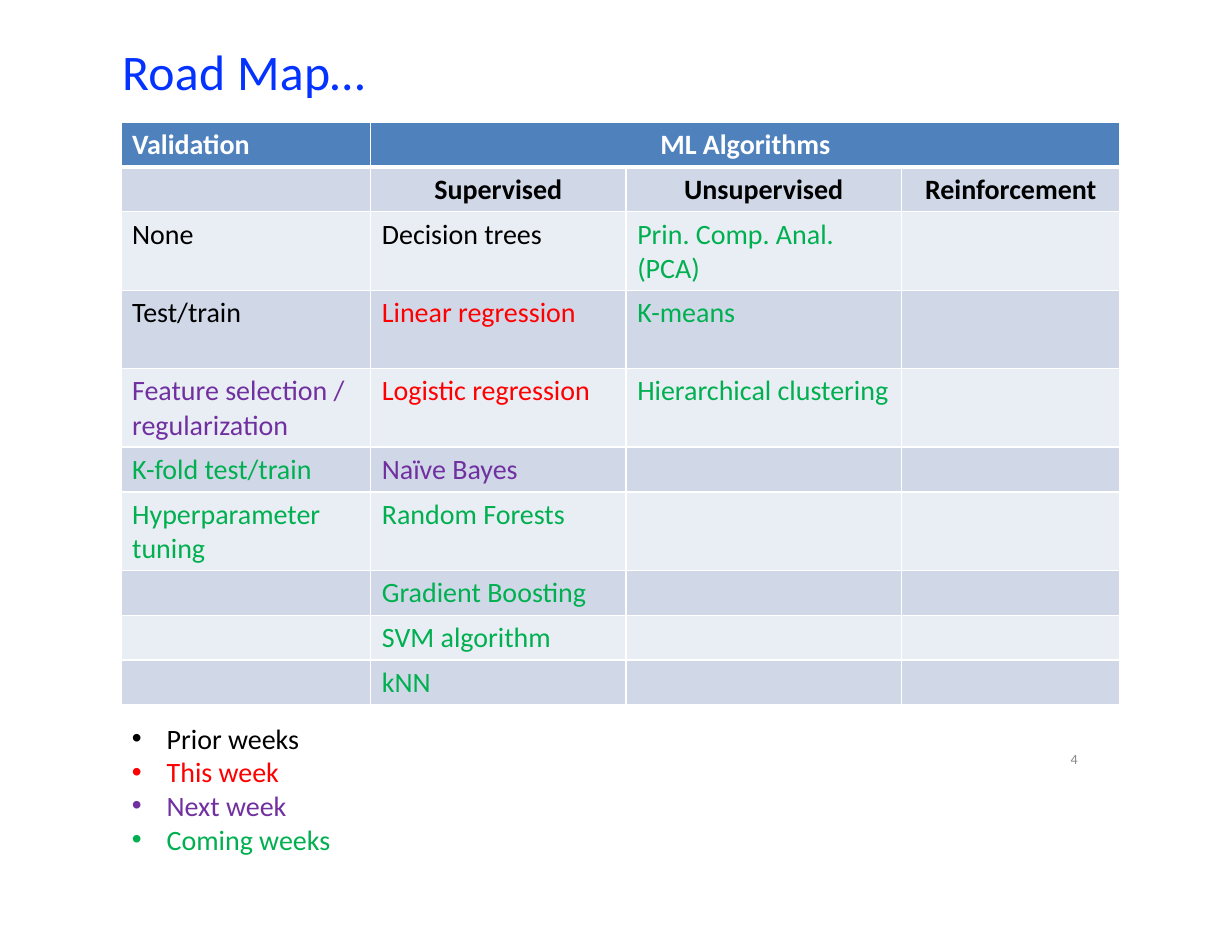
from dataclasses import dataclass
from typing import Optional

from lxml.etree import SubElement
from pptx import Presentation
from pptx.enum.text import MSO_ANCHOR as Anchor, PP_ALIGN as Align
from pptx.dml.color import RGBColor
from pptx.oxml import parse_xml
from pptx.oxml.ns import nsdecls, qn
from pptx.util import Inches, Pt

# The slide is a grid of 1100 columns by 850 rows.
COLUMNS, ROWS = 1100, 850
UNIT = Inches(11) // COLUMNS

FONT = "Calibri"
COLORS = {
    "title": "0432FF", "number": "898989", "white": "FFFFFF",
    "header": "4F81BD", "dark band": "D0D8E8", "light band": "E9EDF4",
    "prior": "000000", "this": "FF0000", "next": "7030A0", "coming": "00B050",
}
LEFT = 108
TABLE_TOP = 109
COLUMN_WIDTHS = (223, 228, 246, 195)
LINE_ROW, TALL_ROW = 40, 70
TALL_ROWS = {2, 3, 4, 6}


@dataclass(frozen=True)
class Box:
    column: int
    row: int
    columns: int
    rows: int

    def lengths(self) -> tuple:
        return tuple(UNIT * n for n in (self.column, self.row, self.columns, self.rows))


@dataclass(frozen=True)
class Entry:
    text: str
    color: str
    size: int = 18
    bold: bool = False
    align: Optional[Align] = None


def heading(text: str, color: str = "prior") -> Entry:
    return Entry(text, color, bold=True, align=Align.CENTER)


TABLE = (
    (Entry("Validation", "white", bold=True), heading("ML Algorithms", "white")),
    (None, heading("Supervised"), heading("Unsupervised"), heading("Reinforcement")),
    (Entry("None", "prior"), Entry("Decision trees", "prior"),
     Entry("Prin. Comp. Anal. (PCA)", "coming")),
    (Entry("Test/train", "prior"), Entry("Linear regression", "this"),
     Entry("K-means", "coming")),
    (Entry("Feature selection / regularization", "next"),
     Entry("Logistic regression", "this"), Entry("Hierarchical clustering", "coming")),
    (Entry("K-fold test/train", "coming"), Entry("Naïve Bayes", "next")),
    (Entry("Hyperparameter tuning", "coming"), Entry("Random Forests", "coming")),
    (None, Entry("Gradient Boosting", "coming")),
    (None, Entry("SVM algorithm", "coming")),
    (None, Entry("kNN", "coming")),
)
LEGEND = (
    Entry("Prior weeks", "prior"), Entry("This week", "this"),
    Entry("Next week", "next"), Entry("Coming weeks", "coming"),
)


def rgb(name: str) -> RGBColor:
    return RGBColor.from_string(COLORS[name])


def write(paragraph, entry: Entry):
    run = paragraph.add_run()
    run.text = entry.text
    formats = {"name": FONT, "size": Pt(entry.size), "bold": entry.bold}
    for attribute, value in formats.items():
        setattr(run.font, attribute, value)
    run.font.color.rgb = rgb(entry.color)
    paragraph.alignment = entry.align
    return run


def add_text(slide, box: Box, entries: tuple, **formats) -> list:
    """Add a text box with one paragraph per entry and return its runs."""
    frame = slide.shapes.add_textbox(*box.lengths()).text_frame
    for attribute, value in {"word_wrap": True, **formats}.items():
        setattr(frame, attribute, value)
    runs = []
    for index, entry in enumerate(entries):
        paragraph = frame.add_paragraph() if index else frame.paragraphs[0]
        runs.append(write(paragraph, entry))
    return runs


def add_bullets(slide, box: Box, entries: tuple) -> None:
    indent = UNIT * 31
    runs = add_text(slide, box, entries)
    for run in runs:
        properties = run._r.getparent().get_or_add_pPr()
        properties.set("marL", str(indent))
        properties.set("indent", str(-indent))
        SubElement(properties, qn("a:buFont")).set("typeface", "Arial")
        SubElement(properties, qn("a:buChar")).set("char", "•")


def set_borders(cell, bottom: int, top: int) -> None:
    """Put white lines around a cell, ahead of its fill."""
    properties = cell._tc.get_or_add_tcPr()
    widths = {"lnL": 1, "lnR": 1, "lnT": top, "lnB": bottom}
    for index, (tag, width) in enumerate(widths.items()):
        properties.insert(index, parse_xml(
            f'<a:{tag} {nsdecls("a")} w="{Pt(width)}"><a:solidFill>'
            f'<a:srgbClr val="{COLORS["white"]}"/></a:solidFill></a:{tag}>'))


def row_fill(row: int) -> str:
    if row == 0:
        return "header"
    return "dark band" if row % 2 else "light band"


def add_road_map(slide) -> None:
    heights = [TALL_ROW if row in TALL_ROWS else LINE_ROW for row in range(len(TABLE))]
    box = Box(LEFT, TABLE_TOP, sum(COLUMN_WIDTHS), sum(heights))
    table = slide.shapes.add_table(len(heights), len(COLUMN_WIDTHS), *box.lengths()).table
    table.first_row = table.horz_banding = False
    for column, width in zip(table.columns, COLUMN_WIDTHS):
        column.width = UNIT * width
    for row, height in enumerate(heights):
        table.rows[row].height = UNIT * height
        for column in range(len(COLUMN_WIDTHS)):
            cell = table.cell(row, column)
            cell.fill.solid()
            cell.fill.fore_color.rgb = rgb(row_fill(row))
            set_borders(cell, bottom=3 if row == 0 else 1, top=3 if row == 1 else 1)
            entry = TABLE[row][column] if column < len(TABLE[row]) else None
            if entry:
                write(cell.text_frame.paragraphs[0], entry)
    table.cell(0, 1).merge(table.cell(0, len(COLUMN_WIDTHS) - 1))


def main() -> None:
    presentation = Presentation()
    presentation.slide_width = UNIT * COLUMNS
    presentation.slide_height = UNIT * ROWS
    slide = presentation.slides.add_slide(presentation.slide_layouts[6])

    tight = {"margin_left": 0, "margin_right": 0, "margin_top": UNIT * 2,
             "margin_bottom": 0, "vertical_anchor": Anchor.TOP}
    add_text(slide, Box(952, 668, 22, 18),
             (Entry("4", "number", size=9),), **{**tight, "margin_left": UNIT * 4})
    title, = add_text(slide, Box(LEFT, 34, 662, 57),
                      (Entry("Road Map…", "title", size=32),),
                      **{**tight, "margin_left": UNIT})
    title._r.get_or_add_rPr().set("spc", "20")
    add_road_map(slide)
    add_bullets(slide, Box(LEFT, 639, 915, 131), LEGEND)
    presentation.save("out.pptx")


if __name__ == "__main__":
    main()
